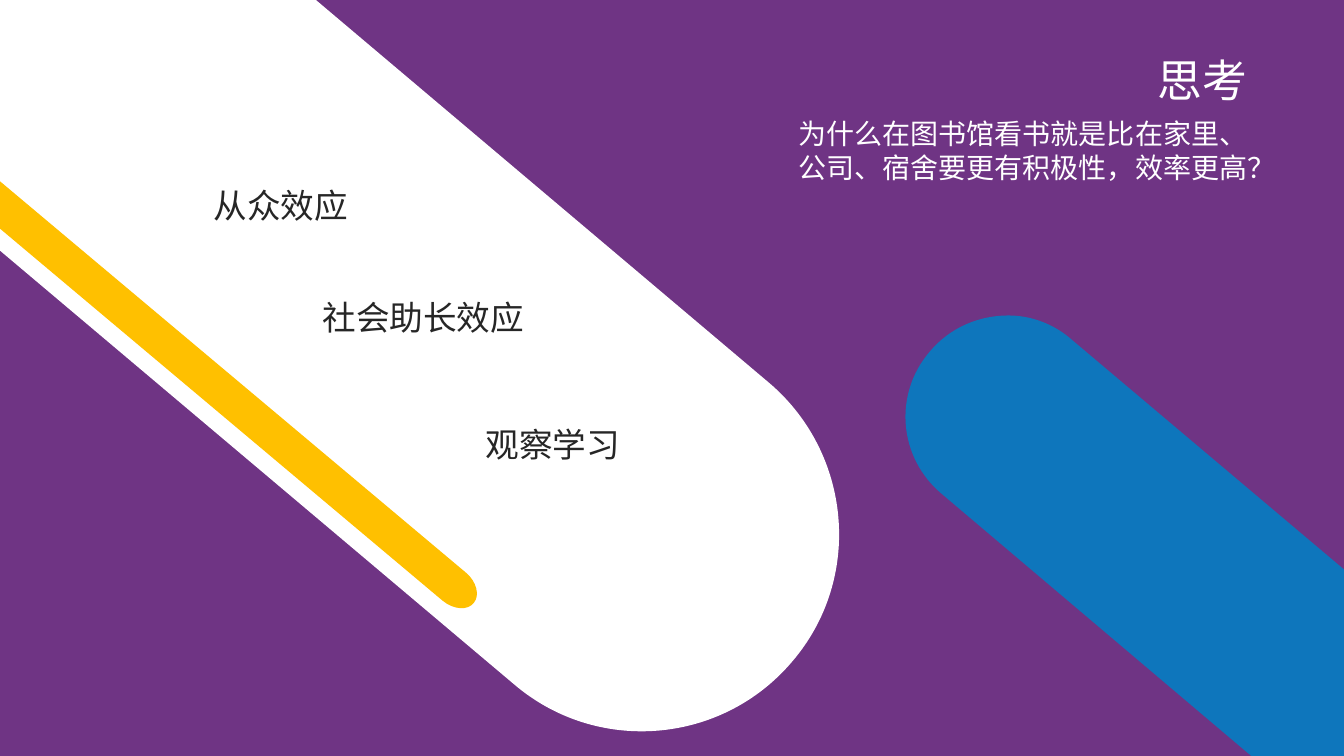
import math

import lxml.etree
import pptx
import pptx.util
import pptx.dml.color
import pptx.enum.lang
import pptx.enum.text
import pptx.oxml.ns

Inches = pptx.util.Inches
RGBColor = pptx.dml.color.RGBColor
Align = pptx.enum.text.PP_ALIGN
qn = pptx.oxml.ns.qn

PURPLE = RGBColor(0x6F, 0x34, 0x84)
WHITE = RGBColor(0xFF, 0xFF, 0xFF)
YELLOW = RGBColor(0xFF, 0xC0, 0x00)
BLUE = RGBColor(0x0E, 0x76, 0xBC)
CHARCOAL = RGBColor(0x26, 0x26, 0x26)

HEADING = "思考"
QUESTION = "为什么在图书馆看书就是比在家里、公司、宿舍要更有积极性，效率更高？"
EFFECTS = [
    ("从众效应", (2.02, 1.79, 1.74, 0.5)),
    ("社会助长效应", (3.1, 2.9, 2.23, 0.5)),
    ("观察学习", (4.72, 4.16, 2.06, 0.5)),
]

WHITE_BAND = (WHITE, (-1.19, 1.29, 10.26, 3.92), 40.2, [
    [(-0.02, -0.02)], [(3.11, -0.02)], [(7.63, 3.8)],
    [(8.45, 4.5), (8.56, 5.74), (7.86, 6.56)],
    [(7.16, 7.39), (5.92, 7.49), (5.1, 6.79)],
    [(-0.02, 2.47)],
])
YELLOW_BAND = (YELLOW, (-0.86, 3.78, 6.3, 0.36), 40, [
    [(-0.01, 1.79)], [(4.62, 5.68)],
    [(4.73, 5.77), (4.76, 5.91), (4.7, 5.98)],
    [(4.64, 6.06), (4.5, 6.05), (4.39, 5.96)],
    [(-0.01, 2.26)],
])
BLUE_BAND = (BLUE, (8.54, 4.33, 5.73, 2.01), 40.2, [
    [(10, 3.13)],
    [(10.22, 3.13), (10.45, 3.21), (10.63, 3.37)],
    [(13.33, 5.65)], [(13.33, 7.5)], [(12.41, 7.5)], [(9.34, 4.9)],
    [(8.91, 4.54), (8.86, 3.91), (9.22, 3.49)],
    [(9.42, 3.25), (9.71, 3.13), (10, 3.13)],
])


def unrotate(point, place, degrees):
    left, top, width, height = place
    dx = point[0] - left - width / 2
    dy = point[1] - top - height / 2
    cos, sin = math.cos(math.radians(degrees)), math.sin(math.radians(degrees))
    return (Inches(width / 2 + dx * cos + dy * sin),
            Inches(height / 2 - dx * sin + dy * cos))


def add_band(slide, color, place, degrees, segments):
    local = [[unrotate(point, place, degrees) for point in segment]
             for segment in segments]
    builder = slide.shapes.build_freeform(*local[0][0])
    builder.add_line_segments([segment[-1] for segment in local[1:]], close=True)
    band = builder.convert_to_shape()
    band.left, band.top, band.width, band.height = map(Inches, place)
    band.rotation = degrees

    outline = band.element.find(".//" + qn("a:path"))
    outline.set("w", str(band.width))
    outline.set("h", str(band.height))
    for move in list(outline):
        outline.remove(move)
    for index, segment in enumerate(local):
        tag = "a:cubicBezTo" if len(segment) == 3 else "a:lnTo" if index else "a:moveTo"
        move = lxml.etree.SubElement(outline, qn(tag))
        for x, y in segment:
            lxml.etree.SubElement(move, qn("a:pt"), x=str(x), y=str(y))
    lxml.etree.SubElement(outline, qn("a:close"))

    band.shadow.inherit = False
    band.fill.solid()
    band.fill.fore_color.rgb = color
    band.line.fill.background()
    return band


def write(box, text, place, size, font, color, align):
    box.left, box.top, box.width, box.height = map(Inches, place)
    frame = box.text_frame
    frame.word_wrap = True
    frame.auto_size = pptx.enum.text.MSO_AUTO_SIZE.SHAPE_TO_FIT_TEXT
    frame.vertical_anchor = pptx.enum.text.MSO_ANCHOR.TOP
    paragraph = frame.paragraphs[0]
    paragraph.alignment = align
    run = paragraph.add_run()
    run.text = text
    run.font.size = pptx.util.Pt(size)
    run.font.name = font
    run.font.color.rgb = color
    run.font.language_id = pptx.enum.lang.MSO_LANGUAGE_ID.SIMPLIFIED_CHINESE


def add_text(slide, text, place, *style):
    write(slide.shapes.add_textbox(*map(Inches, place)), text, place, *style)


def main():
    deck = pptx.Presentation()
    deck.slide_width, deck.slide_height = Inches(13.33), Inches(7.5)
    slide = deck.slides.add_slide(deck.slide_layouts[5])
    slide.background.fill.solid()
    slide.background.fill.fore_color.rgb = PURPLE

    heading = slide.shapes.title
    backdrop = add_band(slide, *WHITE_BAND)
    backdrop.element.addnext(heading.element)
    write(heading, HEADING, (8.97, 0.47, 3.5, 0.64),
          32, "Courier New", WHITE, Align.RIGHT)
    add_text(slide, QUESTION, (7.6, 1.11, 4.87, 0.77),
             20, "Arial", WHITE, Align.RIGHT)
    for band in (YELLOW_BAND, BLUE_BAND):
        add_band(slide, *band)
    for effect, place in EFFECTS:
        add_text(slide, effect, place, 24, "Roboto", CHARCOAL, Align.LEFT)

    deck.save("out.pptx")


if __name__ == "__main__":
    main()
